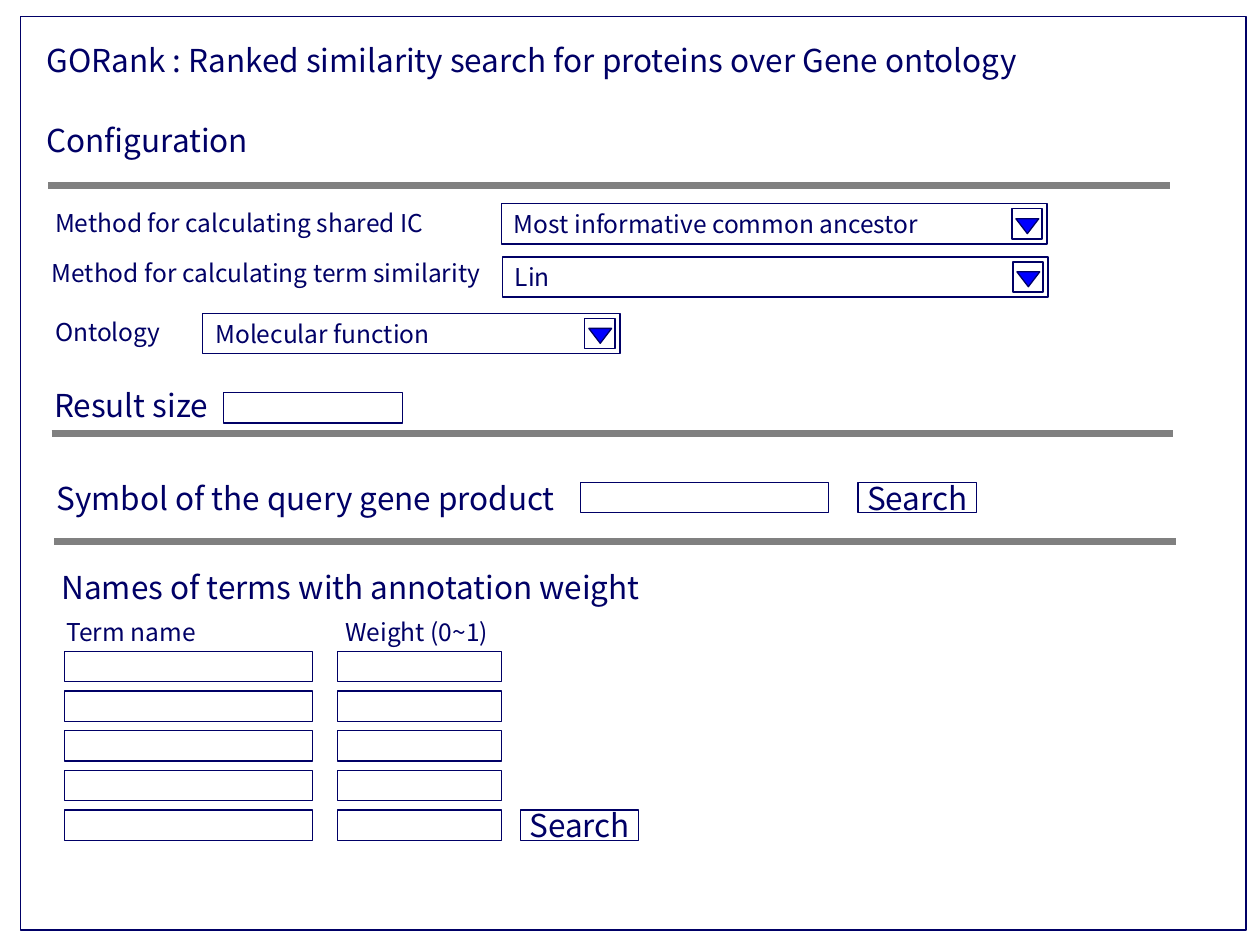
from dataclasses import dataclass

from lxml import etree
from pptx import Presentation
from pptx import util as u
from pptx.dml.color import RGBColor
from pptx.enum import shapes, text
from pptx.oxml.ns import qn

COLORS = {"ink": "000066", "rule": "808080", "arrow": "0000FF"}
FONT = "Noto Sans CJK KR"
HEADING, BODY = 18, 14
FIELD_HEIGHT = 0.61
RULE_LENGTH = 22.61
ROW_COUNT, ROW_TOP, ROW_PITCH = 5, 13.13, 0.8


@dataclass
class Label:
    text: str
    left: float
    top: float
    width: float
    size: int = HEADING


@dataclass
class Dropdown:
    choice: str
    left: float
    top: float
    width: float


@dataclass
class Box:
    left: float
    top: float
    width: float
    height: float = FIELD_HEIGHT
    caption: str = ""


LABELS = [
    Label("GORank : Ranked similarity search for proteins over Gene ontology", 0.69, 0.71, 21.01),
    Label("Configuration", 0.69, 2.31, 7.21),
    Label("Method for calculating shared IC", 0.86, 4.06, 8.1, BODY),
    Label("Method for calculating term similarity", 0.79, 5.08, 9.27, BODY),
    Label("Ontology", 0.86, 6.27, 2.67, BODY),
    Label("Result size", 0.84, 7.65, 3.63),
    Label("Symbol of the query gene product", 0.89, 9.53, 10.69),
    Label("Names of terms with annotation weight", 0.99, 11.33, 12.37),
    Label("Term name", 1.09, 12.32, 4.19, BODY),
    Label("Weight (0~1)", 6.71, 12.32, 5.99, BODY),
]
DROPDOWNS = [
    Dropdown("Most informative common ancestor", 10.11, 4.11, 11),
    Dropdown("Lin", 10.13, 5.18, 11),
    Dropdown("Molecular function", 4.09, 6.32, 8.41),
]
RULES = [(0.97, 3.73), (1.04, 8.74), (1.09, 10.92)]
LAST_ROW_TOP = ROW_TOP + (ROW_COUNT - 1) * ROW_PITCH
BOXES = [
    Box(4.5, 7.92, 3.61),
    Box(11.71, 9.73, 5),
    Box(17.3, 9.73, 2.39, caption="Search"),
    Box(10.49, LAST_ROW_TOP, 2.39, caption="Search"),
]
TERM_COLUMNS = [(1.3, 5), (6.81, 3.3)]


def color(name: str) -> RGBColor:
    return RGBColor.from_string(COLORS[name])


def write(shape, content: str, size: int, alignment=text.PP_ALIGN.LEFT) -> None:
    frame = shape.text_frame
    frame.word_wrap = False
    paragraph = frame.paragraphs[0]
    paragraph.text = content
    paragraph.alignment = alignment
    paragraph.font.name = FONT
    paragraph.font.size = u.Pt(size)
    paragraph.font.color.rgb = color("ink")


def draw_outline(container, kind, left: float, top: float, width: float, height: float):
    shape = container.add_shape(kind, u.Cm(left), u.Cm(top), u.Cm(width), u.Cm(height))
    shape.shadow.inherit = False
    shape.fill.background()
    shape.line.color.rgb = color("ink")
    shape.line.width = u.Pt(0.75)
    return shape


def draw_box(container, box: Box) -> None:
    shape = draw_outline(container, shapes.MSO_SHAPE.RECTANGLE,
                         box.left, box.top, box.width, box.height)
    if box.caption:
        shape.text_frame.vertical_anchor = text.MSO_ANCHOR.MIDDLE
        write(shape, box.caption, HEADING, text.PP_ALIGN.CENTER)


def draw_label(container, label: Label) -> None:
    height = 1.02 if label.size == HEADING else 0.86
    shape = container.add_textbox(u.Cm(label.left), u.Cm(label.top),
                                  u.Cm(label.width), u.Cm(height))
    write(shape, label.text, label.size)


def draw_dropdown(container, dropdown: Dropdown) -> None:
    field = draw_outline(container, shapes.MSO_SHAPE.RECTANGLE,
                         dropdown.left, dropdown.top, dropdown.width, 0.81)
    field.text_frame.vertical_anchor = text.MSO_ANCHOR.MIDDLE
    write(field, dropdown.choice, BODY)
    button = container.add_group_shape().shapes
    left, top = dropdown.left + dropdown.width - 0.71, dropdown.top + 0.1
    draw_box(button, Box(left, top, FIELD_HEIGHT))
    arrow = draw_outline(button, shapes.MSO_SHAPE.ISOSCELES_TRIANGLE,
                         left + 0.08, top + 0.2, 0.46, 0.3)
    arrow.rotation = 180
    arrow.fill.solid()
    arrow.fill.fore_color.rgb = color("arrow")


def draw_rule(container, left: float, top: float) -> None:
    rule = container.add_connector(shapes.MSO_CONNECTOR.STRAIGHT, u.Cm(left), u.Cm(top),
                                   u.Cm(left + RULE_LENGTH), u.Cm(top))
    rule.line.color.rgb = color("rule")
    rule.line.width = u.Pt(4)
    etree.SubElement(rule._element.spPr, qn("a:effectLst"))


def main() -> None:
    presentation = Presentation()
    presentation.slide_width = u.Cm(25.4)
    presentation.slide_height = u.Cm(19.05)
    slide = presentation.slides.add_slide(presentation.slide_layouts[6])
    container = slide.shapes

    draw_box(container, Box(0.41, 0.33, 24.71, 18.42))
    for label in LABELS:
        draw_label(container, label)
    for left, top in RULES:
        draw_rule(container, left, top)
    for dropdown in DROPDOWNS:
        draw_dropdown(container, dropdown)
    for box in BOXES:
        draw_box(container, box)
    for row in range(ROW_COUNT):
        for left, width in TERM_COLUMNS:
            draw_box(container, Box(left, ROW_TOP + row * ROW_PITCH, width))

    presentation.save("out.pptx")


if __name__ == "__main__":
    main()
